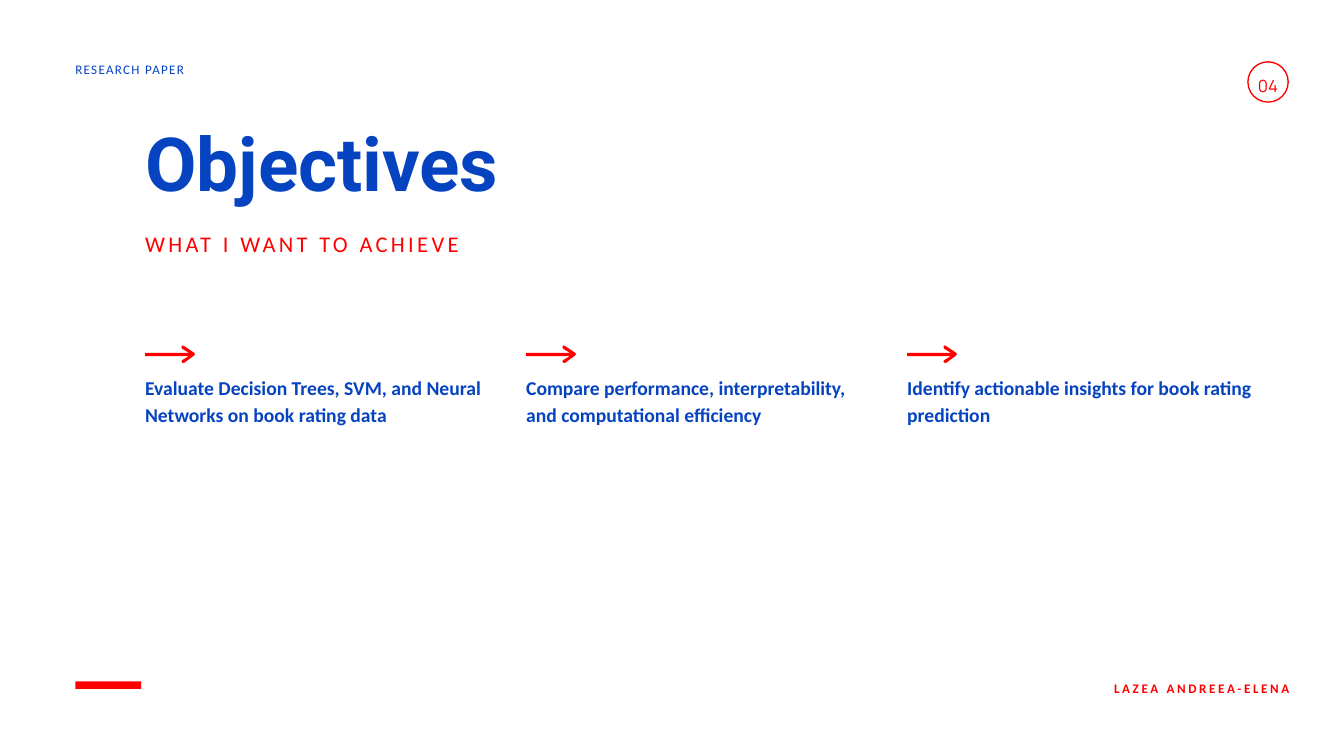
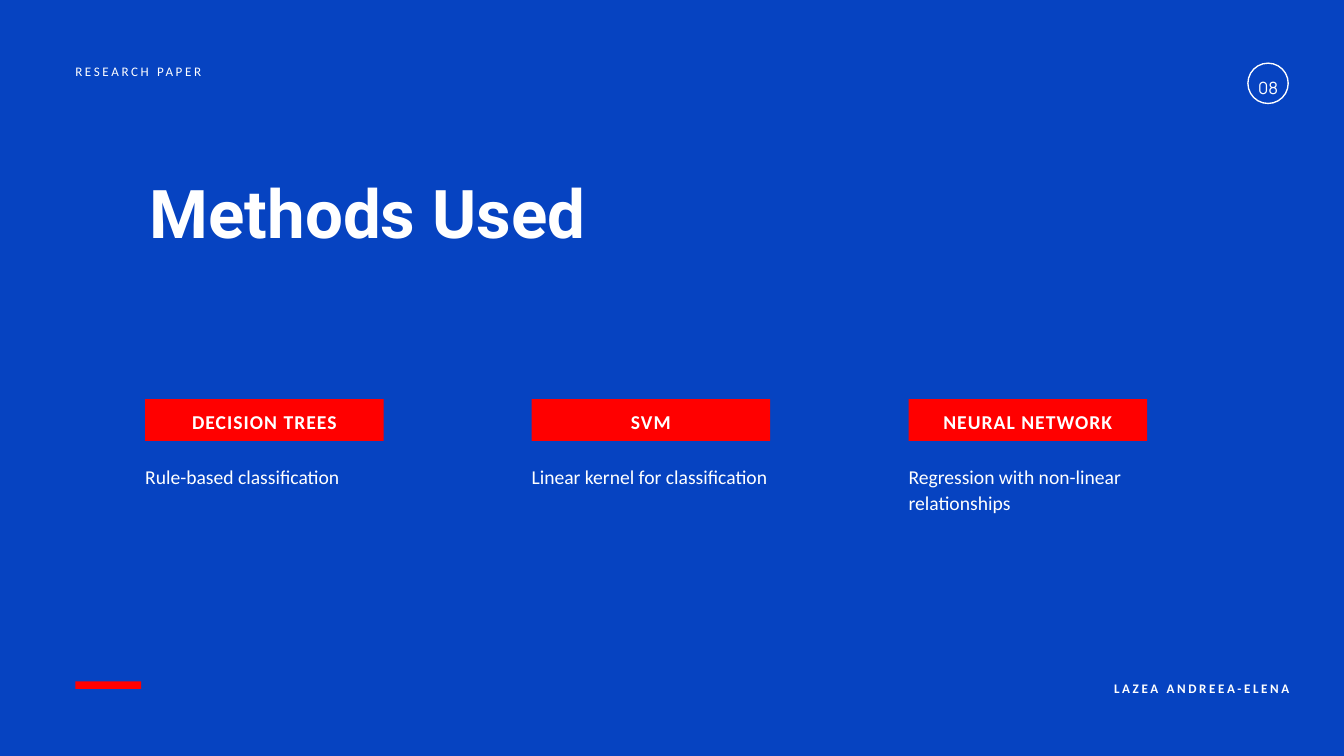
"""Build the Objectives and Methods Used slides of a research deck."""
import pptx
import pptx.util
import pptx.dml.color
import pptx.enum.shapes
import pptx.enum.text

RGB = pptx.dml.color.RGBColor
BLUE = RGB(0x06, 0x43, 0xC1)
RED = RGB(0xFF, 0x00, 0x00)
WHITE = RGB(0xFF, 0xFF, 0xFF)
SHAPE = pptx.enum.shapes.MSO_SHAPE
ALIGN = pptx.enum.text.PP_ALIGN
FIT = pptx.enum.text.MSO_AUTO_SIZE
MIDDLE = pptx.enum.text.MSO_ANCHOR.MIDDLE
PX = 9144

HEADER = "RESEARCH PAPER"
AUTHOR = "LAZEA ANDREEA-ELENA"
GOALS = [
    "Evaluate Decision Trees, SVM, and Neural Networks on book rating data",
    "Compare performance, interpretability, and computational efficiency",
    "Identify actionable insights for book rating prediction",
]
METHODS = [
    (216, "DECISION TREES", "Rule-based classification"),
    (791, "SVM", "Linear kernel for classification"),
    (1352, "NEURAL NETWORK", "Regression with non-linear relationships"),
]
ARROW = [(73, 11), (58, 1), (56, 0), (54, 2), (55, 5), (65, 11), (0, 11),
         (0, 16), (65, 16), (55, 22), (54, 24), (56, 26), (58, 26),
         (73, 15), (74, 13)]
LEFT = 216
STEP = 567


def px(*sizes):
    return [size * PX for size in sizes]


def write(frame, text, size, color, lead, font="Calibri", bold=False,
          track=0, align=ALIGN.LEFT):
    frame.margin_left = frame.margin_right = 0
    frame.margin_top = frame.margin_bottom = 0
    frame.word_wrap = True
    para = frame.paragraphs[0]
    para.alignment = align
    para.line_spacing = pptx.util.Pt(lead)
    run = para.add_run()
    run.text = text
    run.font.name = font
    run.font.size = pptx.util.Pt(size)
    run.font.bold = bold
    run.font.color.rgb = color
    if track:
        run.font._element.set("spc", str(round(track * 100)))


def label(slide, box, text, size, color, lead, **style):
    frame = slide.shapes.add_textbox(*px(*box)).text_frame
    write(frame, text, size, color, lead, **style)
    frame.auto_size = FIT.SHAPE_TO_FIT_TEXT


def paint(shape, color):
    shape.shadow.inherit = False
    shape.fill.solid()
    shape.fill.fore_color.rgb = color
    shape.line.fill.background()


def block(slide, box):
    shape = slide.shapes.add_shape(SHAPE.RECTANGLE, *px(*box))
    paint(shape, RED)
    return shape


def arrow(slide, left, top):
    spots = [(left + x, top + y) for x, y in ARROW]
    pen = slide.shapes.build_freeform(*spots[0], scale=PX)
    pen.add_line_segments(spots[1:], close=True)
    paint(pen.convert_to_shape(), RED)


def badge(slide, top, number, color):
    ring = slide.shapes.add_shape(SHAPE.OVAL, *px(1857, top + 1, 60, 60))
    ring.shadow.inherit = False
    ring.fill.background()
    ring.line.color.rgb = color
    ring.line.width = pptx.util.Pt(1.44)
    label(slide, (1865, top + 17, 44, 32), number, 18, color, 25.3,
          font="Manrope", align=ALIGN.CENTER)


def base(deck, back, ink, accent, number, top, track):
    slide = deck.slides.add_slide(deck.slide_layouts[6])
    slide.background.fill.solid()
    slide.background.fill.fore_color.rgb = back
    block(slide, (112, 1014, 98, 11))
    label(slide, (112, top, 348, 26), HEADER, 14, ink, 19.6, track=track)
    badge(slide, top + 3, number, accent)
    label(slide, (1575, 1008, 344, 26), AUTHOR, 14, accent, 19.6,
          bold=True, track=2.8, align=ALIGN.RIGHT)
    return slide


def title(slide, box, text, size, color):
    label(slide, box, text, size, color, size * 1.1, font="Roboto", bold=True)


def goals(deck):
    slide = base(deck, WHITE, BLUE, RED, "04", 88, 1.4)
    title(slide, (LEFT, 185, 824, 134), "Objectives", 80, BLUE)
    label(slide, (LEFT, 336, 824, 43), "WHAT I WANT TO ACHIEVE", 24, RED,
          33.6, track=3.6)
    for col, goal in enumerate(GOALS):
        left = LEFT + col * STEP
        arrow(slide, left, 514)
        label(slide, (left, 555, 514, 76), goal, 21, BLUE, 28.4, bold=True)


def methods(deck):
    slide = base(deck, BLUE, WHITE, WHITE, "08", 90, 2.8)
    title(slide, (223, 265, 1136, 120), "Methods Used", 72, WHITE)
    for left, name, note in METHODS:
        frame = block(slide, (left, 594, 355, 62)).text_frame
        frame.vertical_anchor = MIDDLE
        write(frame, name, 21, WHITE, 29.4, bold=True, track=1.1,
              align=ALIGN.CENTER)
        label(slide, (left, 687, 438, 38), note, 21, WHITE, 28.4)


def main():
    deck = pptx.Presentation()
    deck.slide_width, deck.slide_height = px(2000, 1125)
    goals(deck)
    methods(deck)
    deck.save("out.pptx")


if __name__ == "__main__":
    main()
